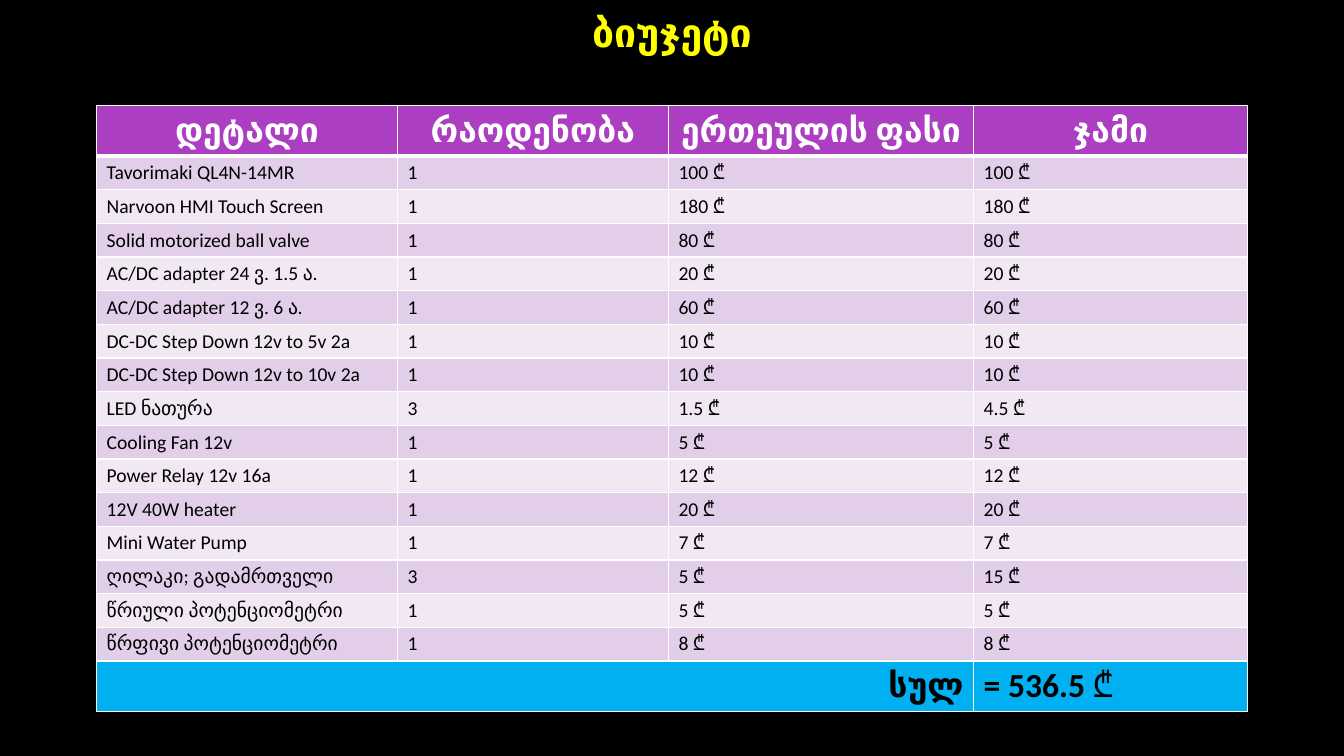
from dataclasses import dataclass

from lxml.etree import SubElement
from pptx import Presentation
from pptx.dml.color import RGBColor
from pptx.enum.text import MSO_ANCHOR, PP_ALIGN
from pptx.oxml.ns import qn
from pptx.util import Pt

COLORS = {
    "background": "000000",
    "title": "FFFF00",
    "header": "AC3EC1",
    "header_text": "FFFFFF",
    "band_dark": "E3CEE9",
    "band_light": "F1E8F4",
    "total": "00B0F0",
    "text": "000000",
    "border": "FFFFFF",
}
FONT = "Calibri"
CURRENCY = "₾"
COLUMN_WIDTHS = (215, 193.5, 218, 195.8)
HEADER_HEIGHT, ITEM_HEIGHT, TOTAL_HEIGHT = 36, 24, 36
HEADINGS = ("დეტალი", "რაოდენობა", "ერთეულის ფასი", "ჯამი")


@dataclass(frozen=True)
class Item:
    detail: str
    quantity: int
    price: float

    def texts(self) -> tuple[str, ...]:
        return (
            self.detail,
            str(self.quantity),
            f"{self.price:g} {CURRENCY}",
            f"{self.quantity * self.price:g} {CURRENCY}",
        )


@dataclass(frozen=True)
class CellStyle:
    fill: str
    color: str = "text"
    size: float = 14
    bold: bool = False
    align: PP_ALIGN = PP_ALIGN.LEFT
    anchor: MSO_ANCHOR = MSO_ANCHOR.TOP
    top_border: float = 1
    bottom_border: float = 1


ITEMS = (
    Item("Tavorimaki QL4N-14MR", 1, 100),
    Item("Narvoon HMI Touch Screen", 1, 180),
    Item("Solid motorized ball valve", 1, 80),
    Item("AC/DC adapter 24 ვ. 1.5 ა.", 1, 20),
    Item("AC/DC adapter 12 ვ. 6 ა.", 1, 60),
    Item("DC-DC Step Down 12v to 5v 2a", 1, 10),
    Item("DC-DC Step Down 12v to 10v 2a", 1, 10),
    Item("LED ნათურა", 3, 1.5),
    Item("Cooling Fan 12v", 1, 5),
    Item("Power Relay 12v 16a", 1, 12),
    Item("12V 40W heater", 1, 20),
    Item("Mini Water Pump", 1, 7),
    Item("ღილაკი; გადამრთველი", 3, 5),
    Item("წრიული პოტენციომეტრი", 1, 5),
    Item("წრფივი პოტენციომეტრი", 1, 8),
)


def rgb(name: str) -> RGBColor:
    return RGBColor.from_string(COLORS[name])


def style_font(font, size: float, color: str, bold: bool) -> None:
    font.name = FONT
    font.size = Pt(size)
    font.bold = bold
    font.color.rgb = rgb(color)


def add_borders(cell, top: float, bottom: float) -> None:
    properties = cell._tc.get_or_add_tcPr()
    for side, width in (("L", 1), ("R", 1), ("T", top), ("B", bottom)):
        border = SubElement(properties, qn(f"a:ln{side}"), w=str(Pt(width)))
        paint = SubElement(border, qn("a:solidFill"))
        SubElement(paint, qn("a:srgbClr"), val=COLORS["border"])


def write_cell(cell, text: str, style: CellStyle) -> None:
    add_borders(cell, style.top_border, style.bottom_border)
    cell.fill.solid()
    cell.fill.fore_color.rgb = rgb(style.fill)
    cell.vertical_anchor = style.anchor
    paragraph = cell.text_frame.paragraphs[0]
    paragraph.alignment = style.align
    if text:
        paragraph.add_run().text = text
    style_font(paragraph.font, style.size, style.color, style.bold)


def add_title(slide) -> None:
    title = slide.shapes.add_textbox(Pt(333.4), Pt(0), Pt(293), Pt(42.5))
    title.text_frame.word_wrap = True
    paragraph = title.text_frame.paragraphs[0]
    paragraph.text = "ბიუჯეტი"
    paragraph.alignment = PP_ALIGN.CENTER
    paragraph.line_spacing = 1.07
    paragraph.space_after = Pt(8.6)
    style_font(paragraph.font, 28, "title", True)


def add_budget(slide) -> None:
    heights = (HEADER_HEIGHT, *[ITEM_HEIGHT] * len(ITEMS), TOTAL_HEIGHT)
    budget = slide.shapes.add_table(
        len(heights), len(COLUMN_WIDTHS), Pt(69), Pt(75.5),
        Pt(sum(COLUMN_WIDTHS)), Pt(sum(heights)),
    ).table
    for column, width in zip(budget.columns, COLUMN_WIDTHS):
        column.width = Pt(width)
    for row, height in zip(budget.rows, heights):
        row.height = Pt(height)

    heading_style = CellStyle(
        "header", "header_text", 24, True, PP_ALIGN.CENTER,
        MSO_ANCHOR.MIDDLE, bottom_border=3,
    )
    for column, heading in enumerate(HEADINGS):
        write_cell(budget.cell(0, column), heading, heading_style)

    for row, item in enumerate(ITEMS, start=1):
        item_style = CellStyle(
            "band_dark" if row % 2 else "band_light",
            top_border=3 if row == 1 else 1,
        )
        for column, text in enumerate(item.texts()):
            write_cell(budget.cell(row, column), text, item_style)

    last = len(heights) - 1
    total = sum(item.quantity * item.price for item in ITEMS)
    label_style = CellStyle("total", size=24, bold=True, align=PP_ALIGN.RIGHT)
    amount_style = CellStyle("total", size=24, bold=True)
    for column, text in enumerate(("სულ", "", "")):
        write_cell(budget.cell(last, column), text, label_style)
    budget.cell(last, 0).merge(budget.cell(last, 2))
    amount = budget.cell(last, 3)
    write_cell(amount, f"= {total:g} ", amount_style)
    symbol = amount.text_frame.paragraphs[0].add_run()
    symbol.text = CURRENCY
    symbol.font.bold = False


def main() -> None:
    presentation = Presentation()
    presentation.slide_width = Pt(960)
    presentation.slide_height = Pt(540)
    slide = presentation.slides.add_slide(presentation.slide_layouts[6])
    slide.background.fill.solid()
    slide.background.fill.fore_color.rgb = rgb("background")
    add_title(slide)
    add_budget(slide)
    presentation.save("out.pptx")


if __name__ == "__main__":
    main()
